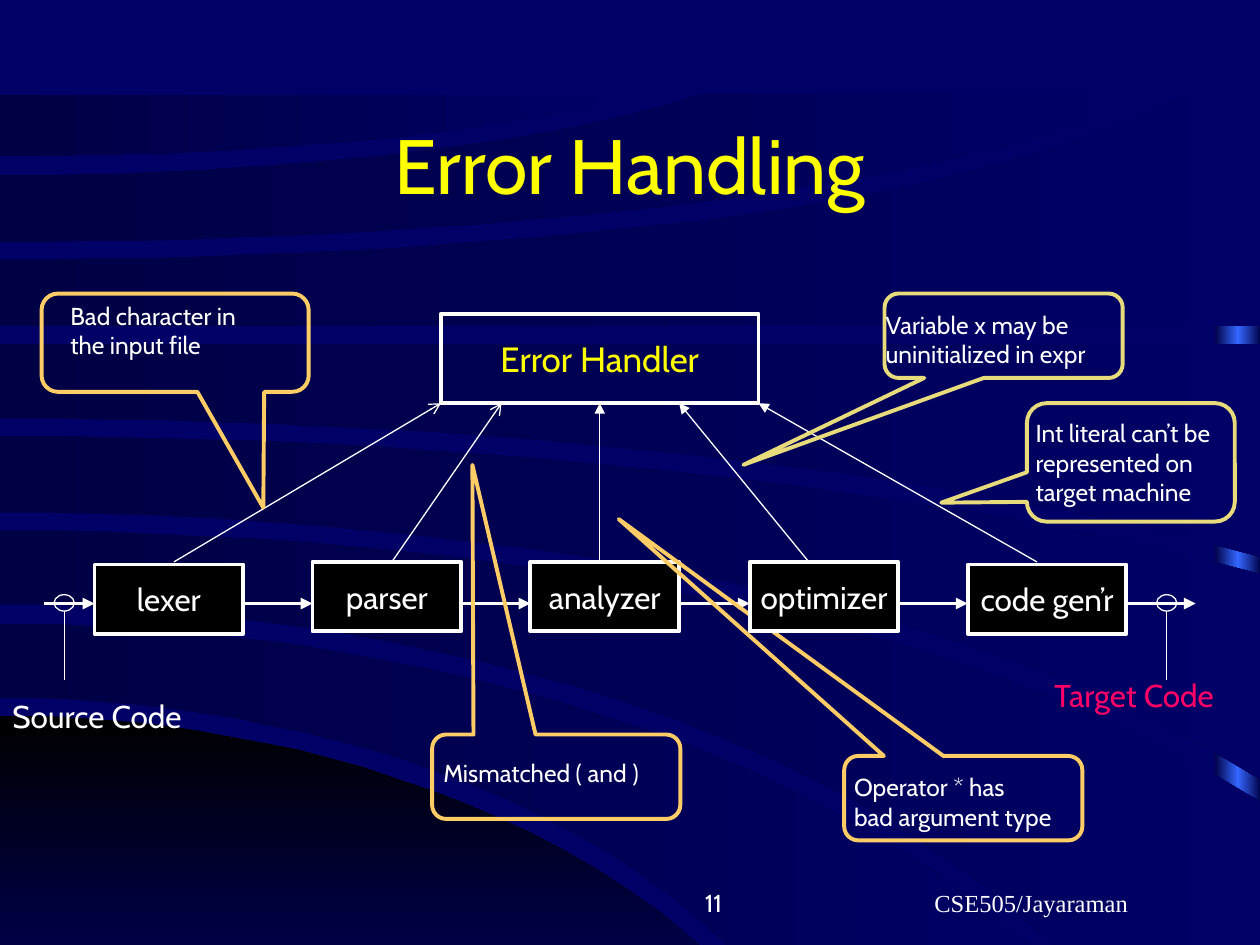
from copy import deepcopy

from pptx import Presentation, util as u
from pptx.dml import color
from pptx.enum import shapes as kinds, text as txt
from pptx.oxml.ns import qn
from lxml import etree

PX = 9144  # EMU in one px, 100 px to the inch
HUE = {"base": "000066", "dark": "000044", "glow": "3366FF", "black": "000000",
       "white": "FFFFFF", "title": "FFFF00", "target": "FF0066",
       "warm": "FFCC66", "pale": "E8DB7C"}
KIND = kinds.MSO_SHAPE
LEFT, MID, RIGHT = (txt.PP_ALIGN.LEFT, txt.PP_ALIGN.CENTER, txt.PP_ALIGN.RIGHT)
TOP, CORE, LOW = (txt.MSO_ANCHOR.TOP, txt.MSO_ANCHOR.MIDDLE, txt.MSO_ANCHOR.BOTTOM)


def rgb(name):
    return color.RGBColor.from_string(HUE[name])


def put(obj, **vals):
    for key, val in vals.items():
        setattr(obj, key, val)


def blend(item, hues, angle):
    """Fill with evenly spaced gradient stops and no outline."""
    item.fill.gradient()
    item.fill.gradient_angle = angle
    stops = item._element.xpath(".//a:gsLst")[0]
    for _ in hues[2:]:
        stops.insert(1, deepcopy(stops[0]))
    for i, (stop, hue) in enumerate(zip(item.fill.gradient_stops, hues)):
        stop.color.rgb = rgb(hue)
        stop.position = i / (len(hues) - 1)
    item.line.fill.background()
    item.shadow.inherit = False


def write(item, words, size, hue="white", align=LEFT, anchor=TOP, font="Cabin", wrap=False):
    frame = item.text_frame
    put(frame, text=words, word_wrap=wrap, vertical_anchor=anchor)
    for para in frame.paragraphs:
        para.alignment = align
        put(para.font, name=font, size=u.Pt(size))
        para.font.color.rgb = rgb(hue)


def label(page, box, words, size, **look):
    item = page.shapes.add_textbox(*(v * PX for v in box))
    write(item, words, size, **look)
    return item


def shape(page, kind, box, hue="white", width=2.25, fill=None):
    item = page.shapes.add_shape(kind, *(v * PX for v in box))
    item.shadow.inherit = False
    if fill:
        item.fill.solid()
        item.fill.fore_color.rgb = rgb(fill)
    else:
        item.fill.background()
    item.line.color.rgb = rgb(hue)
    item.line.width = u.Pt(width)
    return item


def link(page, start, end, width, head=None):
    item = page.shapes.add_connector(kinds.MSO_CONNECTOR.STRAIGHT,
                                     *(v * PX for v in start + end))
    item.line.color.rgb = rgb("white")
    item.line.width = u.Pt(width)
    if head:
        etree.SubElement(item.line._get_or_add_ln(), qn("a:tailEnd"), type=head)
    etree.SubElement(item._element.spPr, qn("a:effectLst"))


def arc(reach, start, bend=0, curl=0, steps=24):
    """Points of a curve that leaves the left edge level and steepens."""
    ts = [i / steps for i in range(steps + 1)]
    return [(reach * t, start + bend * t ** 2 + curl * t ** 6) for t in ts]


def band(page, upper, lower, hue="dark", angle=0, corner=()):
    dots = arc(*upper) + list(corner) + arc(*lower)[::-1]
    pen = page.shapes.build_freeform(*dots[0], scale=PX)
    pen.add_line_segments(dots[1:], close=True)
    blend(pen.convert_to_shape(), [hue, "base"], angle)


def backdrop(page):
    page.background.fill.solid()
    page.background.fill.fore_color.rgb = rgb("base")
    strip = page.shapes.add_shape(KIND.RECTANGLE, *(v * PX for v in (964, 77, 37, 750)))
    blend(strip, ["dark", "glow", "dark"], 0)
    band(page, (629, 568, 194, 65), (629, 827), "black", 270)
    band(page, (894, 495, 247, 83), (643, 554, 193, 78))
    band(page, (1001, 421, 165, 51), (910, 480, 252, 93), corner=[(1001, 825)])
    band(page, (1001, 346, 98, 12), (1001, 407, 159, 53))
    band(page, (1001, 273), (1001, 332, 94, 16))
    band(page, (944, 206, -83, -48), (1001, 259), corner=[(1001, 75)])
    band(page, (557, 139, -51, -13), (918, 192, -82, -35))
    band(page, (502, 75), (502, 124, -38, -11))


def stage(page, box, words):
    item = shape(page, KIND.RECTANGLE, box, fill="black")
    write(item, words, 18, align=MID, anchor=CORE)


def probe(page, x, y):
    """Ring on the flow line with a stem down to its label."""
    shape(page, KIND.OVAL, (x, y, 16, 13), width=0.75)
    link(page, (x + 8, y + 13), (x + 8, y + 68), 0.5)


def callout(page, box, tip, shift, size, words, hue):
    """Rounded balloon pointing at tip; its words start at shift from the box."""
    x, y, w, h = box
    item = shape(page, KIND.ROUNDED_RECTANGULAR_CALLOUT, box, hue)
    item.adjustments[0] = (tip[0] - x - w / 2) / w
    item.adjustments[1] = (tip[1] - y - h / 2) / h
    note = label(page, (x + shift[0], y + shift[1], *size), words, 14)
    note.text_frame.auto_size = txt.MSO_AUTO_SIZE.SHAPE_TO_FIT_TEXT


def flow(page):
    names = ["lexer", "parser", "analyzer", "optimizer", "code gen’r"]
    boxes = [(75 + round(173.25 * i), 448 if i in (0, 4) else 446, 126 if i == 4 else 118, 55)
             for i in range(len(names))]
    exits = [35] + [x + w for x, _, w, _ in boxes]
    for a, b in zip(exits, [box[0] for box in boxes] + [949]):
        link(page, (a, 479), (b, 479), 2.25, "triangle")
    for x in (43, 918):
        probe(page, x, 472)
    label(page, (0, 548, 173, 40), "Source Code", 18, wrap=True)
    label(page, (827, 532, 163, 40), "Target Code", 18, hue="target")

    item = shape(page, KIND.RECTANGLE, (350, 249, 252, 71))
    write(item, "Error Handler", 20, hue="title", align=MID, anchor=CORE)
    rises = [(138, 350), (311, 398), (476, 476), (642, 539), (823, 602)]
    for i, (a, b) in enumerate(rises):
        link(page, (a, 446), (b, 320), 0.75, "arrow" if i < 2 else "triangle")

    late = names.index("optimizer")  # lies above the warm callouts
    for i, box in enumerate(boxes):
        if i != late:
            stage(page, box, names[i])
    for spot in [
        ((33, 233, 212, 78), (209, 403), (13, 1), (169, 57), "Bad character in\nthe input file"),
        ((343, 583, 197, 67), (375, 369), (-1, 14), (194, 34), "Mismatched ( and )"),
        ((670, 600, 189, 67), (491, 412), (-2, 8), (207, 57), "Operator * has\nbad argument type"),
    ]:
        callout(page, *spot, "warm")
    stage(page, boxes[late], names[late])
    for spot in [
        ((702, 233, 189, 67), (590, 369), (-9, 8), (200, 57),
         "Variable x may be\nuninitialized in expr"),
        ((815, 320, 165, 94), (747, 399), (-3, 7), (179, 80),
         "Int literal can’t be\nrepresented on\ntarget machine"),
    ]:
        callout(page, *spot, "pale")


def main():
    deck = Presentation()
    put(deck, slide_width=1000 * PX, slide_height=750 * PX)
    page = deck.slides.add_slide(deck.slide_layouts[6])
    backdrop(page)
    label(page, (75, 67, 850, 125), "Error Handling", 44, hue="title",
          align=MID, anchor=CORE, wrap=True)
    label(page, (660, 683, 317, 50), "CSE505/Jayaraman", 14, align=MID, anchor=LOW,
          font="Times New Roman", wrap=True)
    label(page, (375, 683, 208, 50), "11", 14, align=RIGHT, anchor=LOW, wrap=True)
    flow(page)
    deck.save("out.pptx")


if __name__ == "__main__":
    main()
